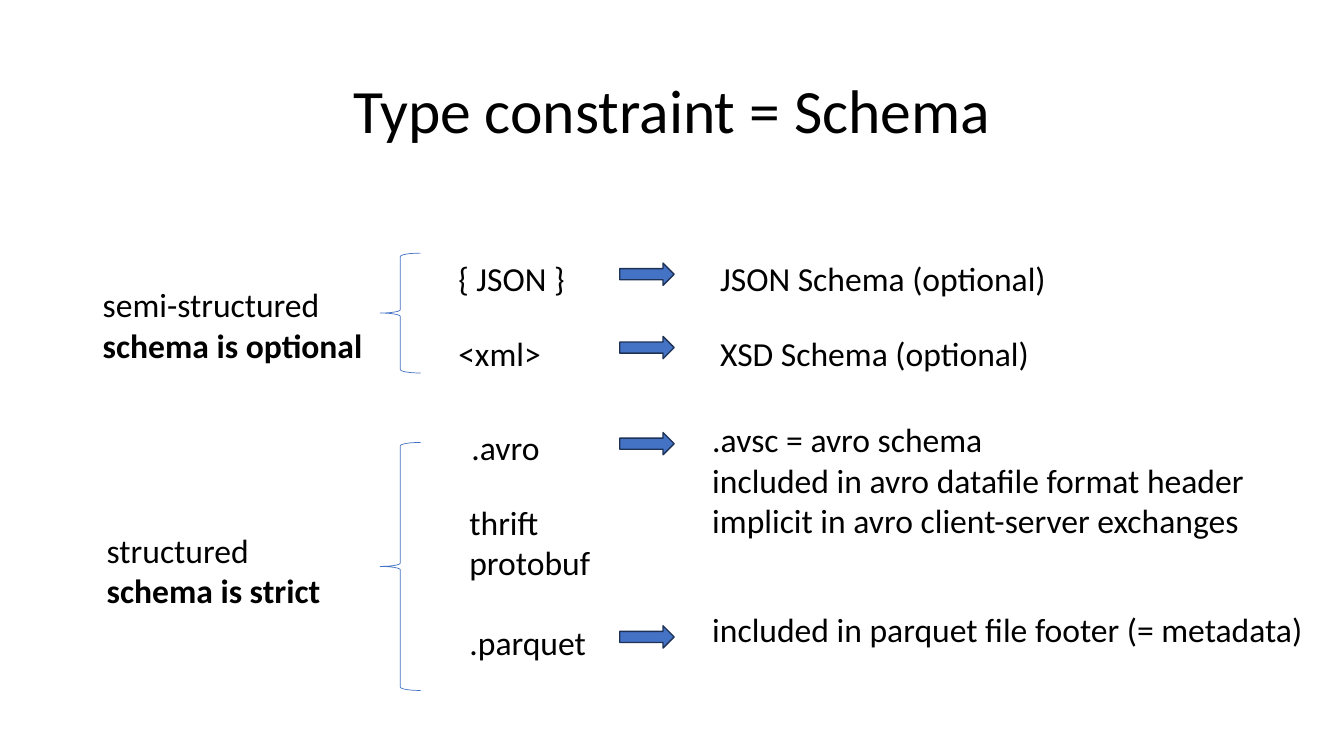
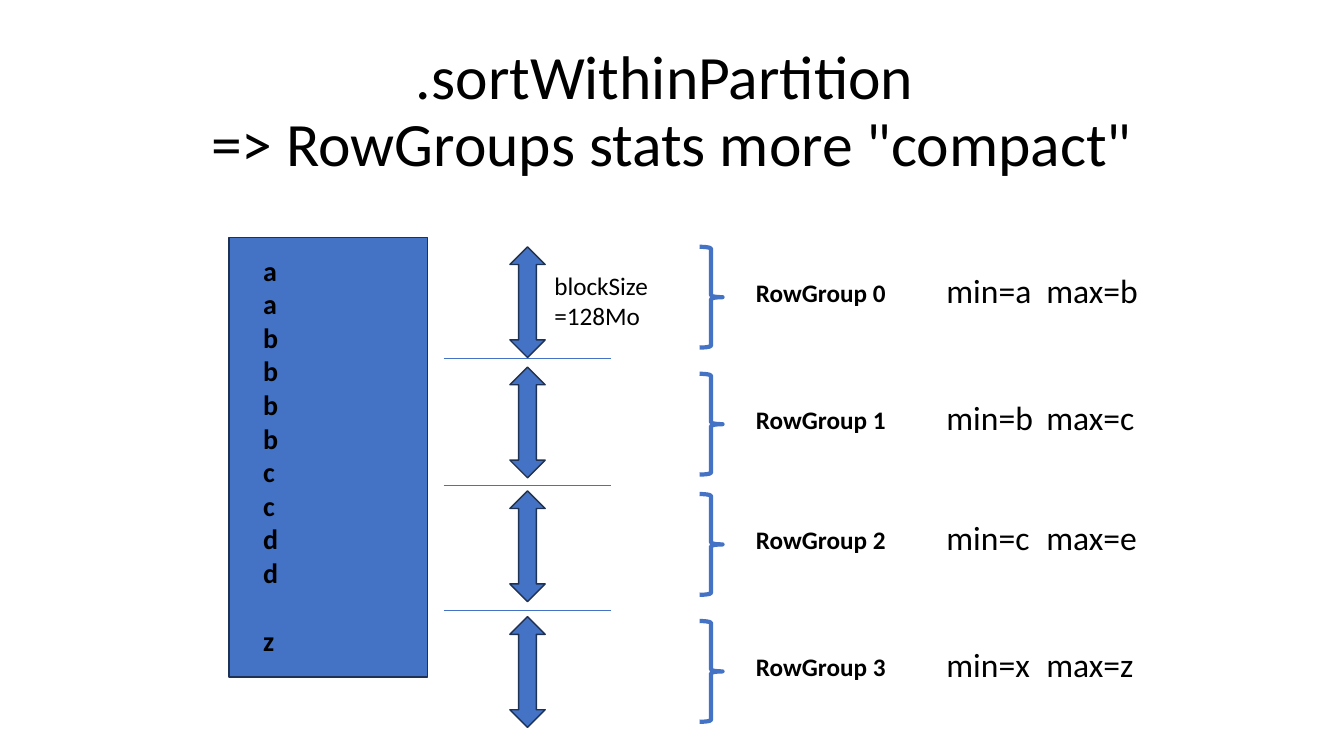
from lxml import etree
from pptx import Presentation
from pptx.dml.color import RGBColor
from pptx.enum.shapes import MSO_CONNECTOR, MSO_SHAPE
from pptx.enum.text import MSO_ANCHOR, PP_ALIGN
from pptx.oxml.ns import qn
from pptx.util import Cm, Pt

RECTANGLE = MSO_SHAPE.RECTANGLE
RIGHT_ARROW = MSO_SHAPE.RIGHT_ARROW
UP_DOWN_ARROW = MSO_SHAPE.UP_DOWN_ARROW
LEFT_BRACE = MSO_SHAPE.LEFT_BRACE
RIGHT_BRACE = MSO_SHAPE.RIGHT_BRACE
STRAIGHT = MSO_CONNECTOR.STRAIGHT

FONT = "Calibri"
BLACK, BLUE, NAVY = "000000", "4472C4", "1E3256"
BODY, LABEL, LETTER, TITLE = 24, 18, 20, 44
LINE_HEIGHT = 1.22
CM_PER_POINT = 2.54 / 72

# Lengths are centimetres.
SCHEMA_TITLE = "Type constraint = Schema"
CATEGORIES = [  # label lines, label position and width, brace top and height
    (["semi-structured", "schema is optional"], (2.34, 7.04, 7.3), (6.38, 3.02)),
    (["structured", "schema is strict"], (2.44, 13.23, 6.1), (11.15, 6.25)),
]
FORMATS = [  # format lines, left, top
    (["{ JSON }"], 11.3, 6.38),
    (["<xml>"], 11.3, 8.26),
    ([".avro"], 11.63, 10.64),
    (["thrift", "protobuf"], 11.58, 12.52),
    ([".parquet"], 11.58, 15.54),
]
SCHEMAS = [  # schema lines, left, top, top of the arrow
    (["JSON Schema (optional)"], 17.9, 6.38, 6.63),
    (["XSD Schema (optional)"], 17.9, 8.26, 8.48),
    ([".avsc = avro schema", "included in avro datafile format header",
      "implicit in avro client-server exchanges"], 17.7, 10.44, 10.9),
    (["included in parquet file footer (= metadata)"], 17.7, 15.21, 15.77),
]

SORT_TITLE = '.sortWithinPartition \n=> RowGroups stats more "compact"'
SORTED_VALUES = list("aabbbbccdd")
LAST_VALUE = "z"
BLOCK_SIZE = ["blockSize", "=128Mo"]
BLOCK_TOPS = [6.22, 9.25, 12.37, 15.54]
BLOCK_BORDERS = [9.04, 12.24, 15.39]
ROW_GROUPS = [  # smallest value, largest value, top
    ("a", "b", 6.22),
    ("b", "c", 9.42),
    ("c", "e", 12.45),
    ("x", "z", 15.65),
]
STATS_TAB = 2.52


def color(hex_string):
    return RGBColor.from_string(hex_string)


def add_text(slide, lines, left, top, width, size=BODY, bold=False):
    """Add a box as high as its lines, one paragraph a line."""
    height = (len(lines) * size * LINE_HEIGHT + 7.2) * CM_PER_POINT
    box = slide.shapes.add_textbox(Cm(left), Cm(top), Cm(width), Cm(height))
    frame = box.text_frame
    frame.word_wrap = True
    text_format = {"name": FONT, "size": Pt(size), "bold": bold}
    for index, line in enumerate(lines):
        paragraph = frame.add_paragraph() if index else frame.paragraphs[0]
        paragraph.text = line
        for run in paragraph.runs:
            for attribute, value in text_format.items():
                setattr(run.font, attribute, value)
            run.font.color.rgb = color(BLACK)
    return frame


def add_title(slide, title):
    frame = add_text(slide, [title], 2.33, 1.01, 29.21, TITLE)
    frame.vertical_anchor = MSO_ANCHOR.MIDDLE
    frame.paragraphs[0].alignment = PP_ALIGN.CENTER
    frame.paragraphs[0].line_spacing = 0.9
    frame._parent.height = Cm(3.68)


def add_figure(slide, kind, left, top, width, height, fill=BLUE, line=NAVY, weight=1):
    shape = slide.shapes.add_shape(kind, Cm(left), Cm(top), Cm(width), Cm(height))
    shape.shadow.inherit = False
    if fill:
        shape.fill.solid()
        shape.fill.fore_color.rgb = color(fill)
    else:
        shape.fill.background()
    shape.line.color.rgb = color(line)
    shape.line.width = Pt(weight)


def add_brace(slide, kind, left, top, width, height, weight):
    add_figure(slide, kind, left, top, width, height, None, BLUE, weight)


def add_border(slide, left, right, y):
    border = slide.shapes.add_connector(STRAIGHT, Cm(left), Cm(y), Cm(right), Cm(y))
    border.line.color.rgb = color(BLUE)
    border.line.width = Pt(0.5)
    etree.SubElement(border._element.spPr, qn("a:effectLst"))


def add_tab_stop(paragraph, position):
    stops = etree.SubElement(paragraph._p.get_or_add_pPr(), qn("a:tabLst"))
    etree.SubElement(stops, qn("a:tab"), pos=str(Cm(position)), algn="l")


def build_schema_slide(slide):
    add_title(slide, SCHEMA_TITLE)
    for lines, label_place, (top, height) in CATEGORIES:
        label = add_text(slide, lines, *label_place)
        label.paragraphs[1].runs[0].font.bold = True
        add_brace(slide, LEFT_BRACE, 9.58, top, 1.02, height, 0.5)
    for lines, left, top in FORMATS:
        add_text(slide, lines, left, top, 3.9)
    for lines, left, top, arrow_top in SCHEMAS:
        add_figure(slide, RIGHT_ARROW, 15.62, arrow_top, 1.37, 0.56)
        add_text(slide, lines, left, top, 16)


def build_sort_slide(slide):
    add_title(slide, SORT_TITLE)
    add_figure(slide, RECTANGLE, 5.77, 5.99, 5, 11.07)
    values = add_text(slide, SORTED_VALUES + [LAST_VALUE], 6.38, 6.25, 0.95, LETTER, True)
    values.paragraphs[-1].space_before = Pt(LETTER * LINE_HEIGHT)
    for y in BLOCK_BORDERS:
        add_border(slide, 11.18, 15.39, y)
    for top in BLOCK_TOPS:
        add_figure(slide, UP_DOWN_ARROW, 12.85, top, 0.89, 2.79)
    add_text(slide, BLOCK_SIZE, 13.72, 6.68, 3.1, LABEL)
    for number, (smallest, largest, top) in enumerate(ROW_GROUPS):
        add_brace(slide, RIGHT_BRACE, 17.63, top, 0.58, 2.54, 3)
        add_text(slide, [f"RowGroup {number}"], 18.8, top + 0.64, 4, LABEL, True)
        stats = add_text(slide, [f"min={smallest}\tmax={largest}"], 23.6, top + 0.45, 5.6)
        add_tab_stop(stats.paragraphs[0], STATS_TAB)


def main():
    presentation = Presentation()
    presentation.slide_width, presentation.slide_height = Cm(33.87), Cm(19.05)
    blank = presentation.slide_layouts[6]
    for build in (build_schema_slide, build_sort_slide):
        build(presentation.slides.add_slide(blank))
    presentation.save("out.pptx")


if __name__ == "__main__":
    main()
